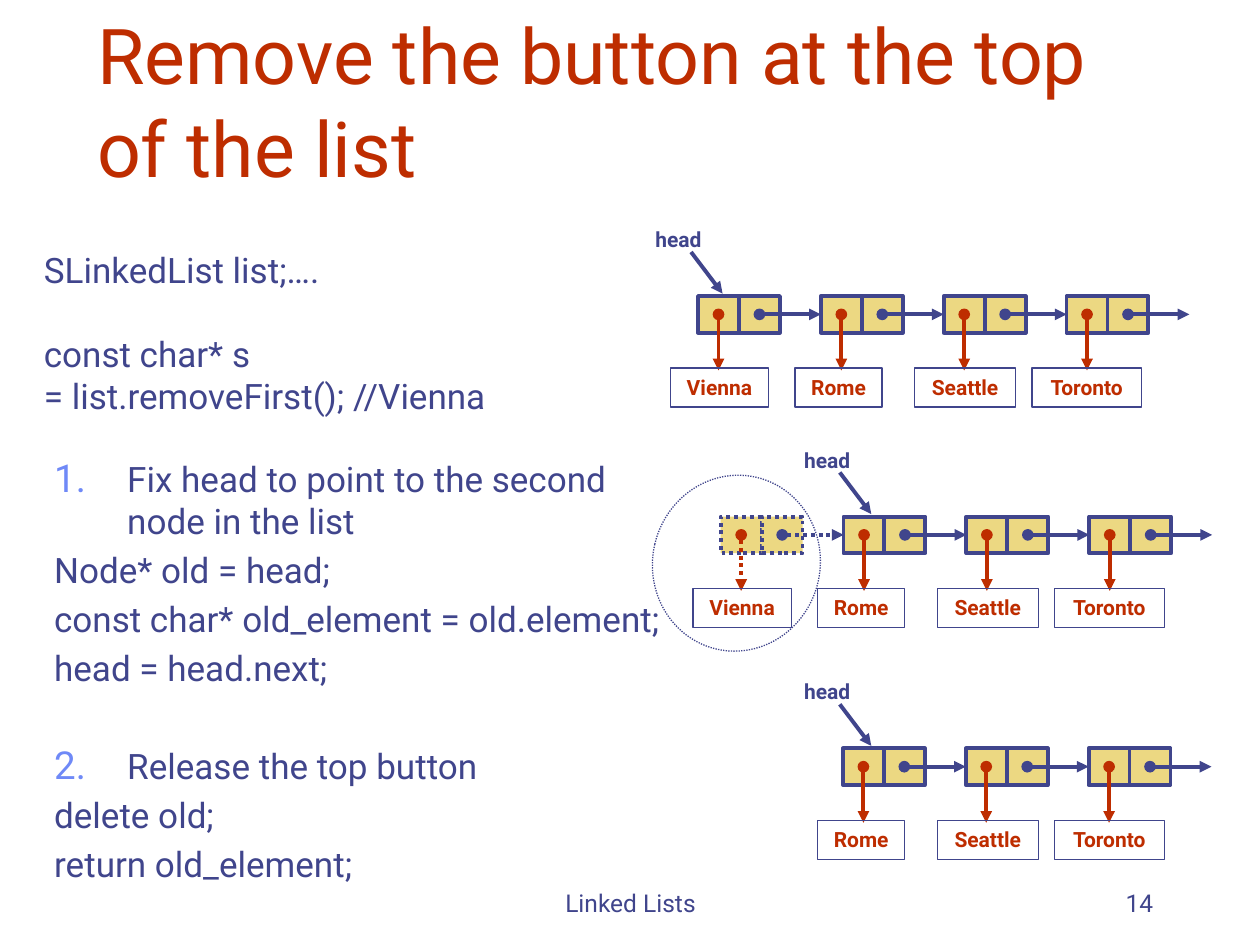
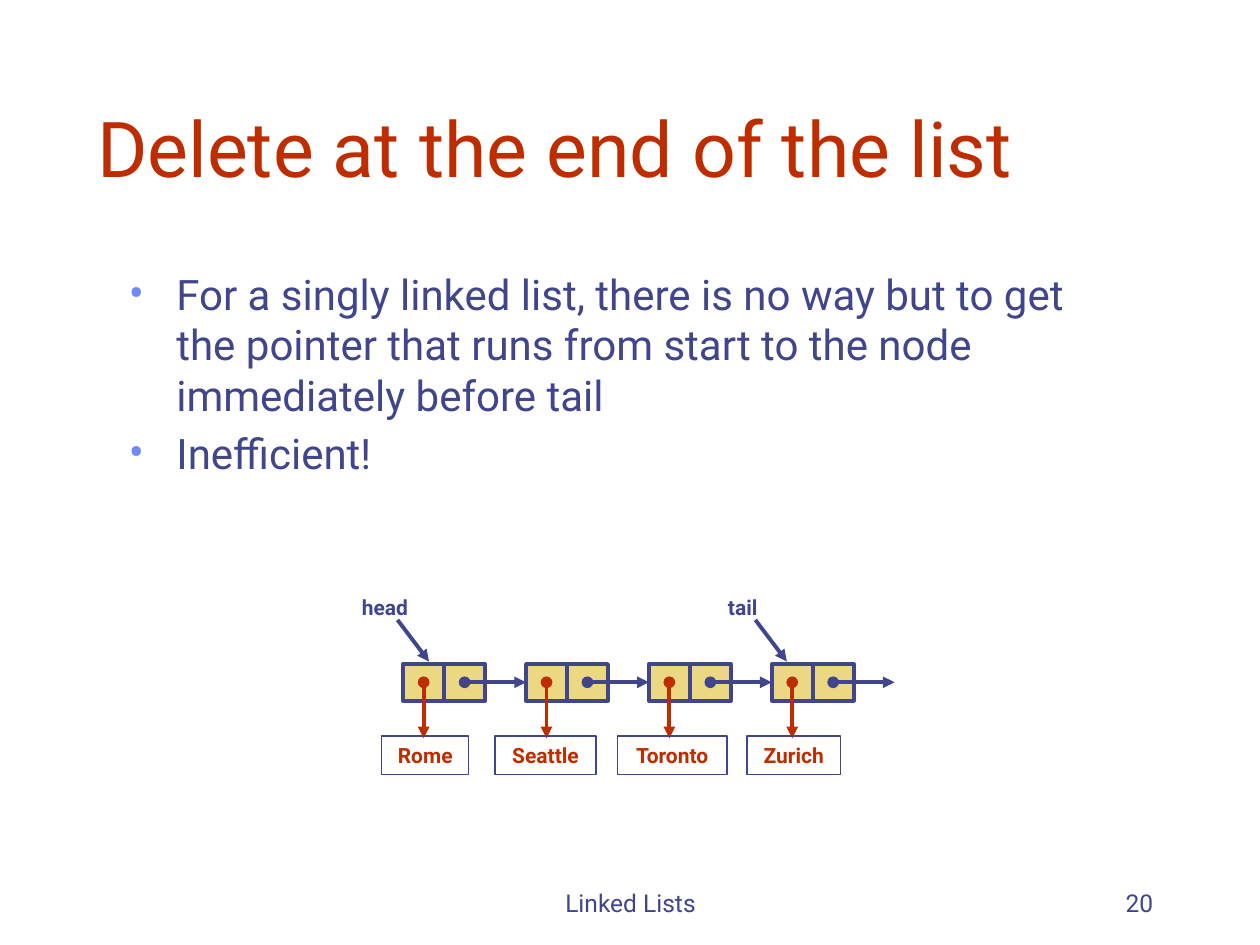
from pptx import Presentation
from pptx.dml.color import RGBColor
from pptx.enum.dml import MSO_LINE
from pptx.enum.shapes import MSO_CONNECTOR, MSO_SHAPE
from pptx.enum.text import MSO_ANCHOR, MSO_AUTO_SIZE, PP_ALIGN
from pptx.oxml.ns import qn
from pptx.util import Inches, Pt
from lxml import etree

FONT = "Roboto"
COLORS = {
    "text": "40458C",
    "accent": "BE2D00",
    "cell": "ECD882",
    "bullet": "6F89F7",
}

# A node takes two cells, and the gap to the next node is one cell wide.
PITCH = 3.9 / 4
CELL_WIDTH = PITCH / 3
CELL_HEIGHT = 0.29
ELEMENT_WIDTHS = {"Vienna": 0.78, "Rome": 0.69, "Seattle": 0.8,
                  "Toronto": 0.87, "Zurich": 0.74}
POINTER_WIDTHS = {"head": 0.61, "tail": 0.47}


def rgb(name):
    return RGBColor.from_string(COLORS[name])


def add_run(paragraph, text, size, color="text", bold=False):
    run = paragraph.add_run()
    run.text = text
    run.font.name = FONT
    run.font.size = Pt(size)
    run.font.bold = bold
    run.font.color.rgb = rgb(color)


def place(shape, left, top, width, height):
    shape.left, shape.top = Inches(left), Inches(top)
    shape.width, shape.height = Inches(width), Inches(height)


def style_line(line, color, width, dotted=False):
    line.color.rgb = rgb(color)
    line.width = Pt(width)
    if dotted:
        line.dash_style = MSO_LINE.ROUND_DOT


def add_text(shapes, box, lines, size, color="text", bold=False,
             align=PP_ALIGN.LEFT, anchor=MSO_ANCHOR.TOP, wrap=True):
    """Add a text box with one paragraph for each line."""
    textbox = shapes.add_textbox(*map(Inches, box))
    frame = textbox.text_frame
    frame.word_wrap = wrap
    frame.vertical_anchor = anchor
    for index, text in enumerate(lines):
        paragraph = frame.add_paragraph() if index else frame.paragraphs[0]
        paragraph.alignment = align
        add_run(paragraph, text, size, color, bold)
    return textbox


def add_label(shapes, text, left, top, width, height, color):
    label = add_text(shapes, (left, top, width, height), [text], 12, color,
                     bold=True, align=PP_ALIGN.CENTER, wrap=False)
    label.text_frame.auto_size = MSO_AUTO_SIZE.SHAPE_TO_FIT_TEXT
    return label


def add_arrow(shapes, start, end, color="text", dotted=False, from_dot=True):
    arrow = shapes.add_connector(MSO_CONNECTOR.STRAIGHT,
                                 *map(Inches, (*start, *end)))
    style_line(arrow.line, color, 2.25, dotted)
    line = arrow.get_or_add_ln()
    if from_dot:
        etree.SubElement(line, qn("a:headEnd"), type="oval")
    etree.SubElement(line, qn("a:tailEnd"), type="triangle")
    etree.SubElement(arrow._element.spPr, qn("a:effectLst"))
    return arrow


def add_cell(shapes, left, top, dotted):
    cell = shapes.add_shape(MSO_SHAPE.RECTANGLE, *map(
        Inches, (left, top, CELL_WIDTH, CELL_HEIGHT)))
    cell.shadow.inherit = False
    cell.fill.solid()
    cell.fill.fore_color.rgb = rgb("cell")
    style_line(cell.line, "text", 2.25, dotted)
    return cell


def add_pointer(shapes, name, left, node_top):
    """Add a named pointer with its slanted arrow down to a node."""
    width = POINTER_WIDTHS[name]
    add_label(shapes, name, left, node_top - 0.6, width, 0.3, "text")
    start = left + width / 2 + 0.1
    add_arrow(shapes, (start, node_top - 0.35),
              (start + 0.25, node_top - 0.02), from_dot=False)


def add_chain(slide, left, top, elements, pointers, removed=None):
    """Draw a linked list; elements maps each name to its box's left edge."""
    shapes = slide.shapes.add_group_shape().shapes
    middle = top + CELL_HEIGHT / 2
    node_lefts = [left + index * PITCH for index in range(len(elements))]
    element_cells = []
    for node_left, name in zip(node_lefts, elements):
        element_cells.append(add_cell(shapes, node_left, top, name == removed))
        add_cell(shapes, node_left + CELL_WIDTH, top, name == removed)
    next_cells = element_cells[1:] + [None]

    for node_left, next_cell, (name, box_left) in zip(
            node_lefts, next_cells, elements.items()):
        dotted = name == removed
        link = add_arrow(shapes, (node_left + 1.5 * CELL_WIDTH, middle),
                         (node_left + PITCH, middle), dotted=dotted)
        if next_cell is not None:
            link.end_connect(next_cell, 1)
        element_x = node_left + CELL_WIDTH / 2
        add_arrow(shapes, (element_x, middle), (element_x, top + 0.59),
                  "accent", dotted)
        box = add_label(shapes, name, box_left, top + 0.57,
                        ELEMENT_WIDTHS[name], 0.31, "accent")
        style_line(box.line, "text", 0.75)

    for name, pointer_left in pointers.items():
        add_pointer(shapes, name, pointer_left, top)


def add_removal_ring(slide):
    ring = slide.shapes.add_shape(MSO_SHAPE.OVAL, *map(
        Inches, (5.18, 3.77, 1.33, 1.4)))
    ring.rotation = 13
    ring.shadow.inherit = False
    ring.fill.background()
    style_line(ring.line, "text", 0.75, dotted=True)


def set_marker(paragraph, indent, marker):
    """Set a hanging indent with a number (int), a bullet (str) or None."""
    properties = paragraph._p.get_or_add_pPr()
    properties.set("marL", str(Inches(indent)))
    properties.set("indent", str(-Inches(indent)))
    if marker is None:
        etree.SubElement(properties, qn("a:buNone"))
        return
    color = etree.SubElement(properties, qn("a:buClr"))
    etree.SubElement(color, qn("a:srgbClr"), val=COLORS["bullet"])
    etree.SubElement(properties, qn("a:buSzPct"), val="110000")
    etree.SubElement(properties, qn("a:buFont"), typeface=FONT)
    if isinstance(marker, int):
        etree.SubElement(properties, qn("a:buAutoNum"),
                         type="arabicPeriod", startAt=str(marker))
    else:
        etree.SubElement(properties, qn("a:buChar"), char=marker)


def fill_body(slide, box, items, size, indent):
    """Fill the body with (marker, text) items; a number starts a new step."""
    body = slide.placeholders[1]
    place(body, *box)
    frame = body.text_frame
    frame.auto_size = MSO_AUTO_SIZE.NONE
    for index, (marker, text) in enumerate(items):
        paragraph = frame.add_paragraph() if index else frame.paragraphs[0]
        new_step = index and isinstance(marker, int)
        paragraph.space_before = Pt(size * (1.6 if new_step else 0.2))
        set_marker(paragraph, indent, marker)
        add_run(paragraph, text, size)


def add_slide(presentation, title_text, number):
    slide = presentation.slides.add_slide(presentation.slide_layouts[1])
    title = slide.shapes.title
    place(title, 0.67, 0.33, 8.5, 1.25)
    frame = title.text_frame
    frame.auto_size = MSO_AUTO_SIZE.NONE
    frame.vertical_anchor = MSO_ANCHOR.BOTTOM
    frame.paragraphs[0].alignment = PP_ALIGN.LEFT
    add_run(frame.paragraphs[0], title_text, 44, "accent")
    add_text(slide.shapes, (3.42, 6.83, 3.17, 0.5), ["Linked Lists"], 14,
             align=PP_ALIGN.CENTER, anchor=MSO_ANCHOR.BOTTOM)
    add_text(slide.shapes, (7.17, 6.83, 2.08, 0.5), [str(number)], 14,
             align=PP_ALIGN.RIGHT, anchor=MSO_ANCHOR.BOTTOM)
    return slide


def build_remove_first(presentation):
    slide = add_slide(presentation,
                      "Remove the button at the top of the list", 14)
    fill_body(slide, (0.33, 3.58, 5.17, 3.67), [
        (1, "Fix head to point to the second node in the list"),
        (None, "Node* old = head;"),
        (None, "const char* old_element = old.element;"),
        (None, "head = head.next;"),
        (2, "Release the top button"),
        (None, "delete old;"),
        (None, "return old_element;"),
    ], size=20, indent=0.58)
    code = add_text(slide.shapes, (0.25, 1.92, 4.42, 1.45), [
        "SLinkedList list;….",
        "const char* s",
        "= list.removeFirst(); //Vienna",
    ], 20)
    code.text_frame.paragraphs[1].space_before = Pt(24)

    remaining = {"Rome": 6.49, "Seattle": 7.44, "Toronto": 8.37}
    add_chain(slide, 5.54, 2.35, {"Vienna": 5.32, "Rome": 6.31,
                                  "Seattle": 7.26, "Toronto": 8.19},
              {"head": 5.08})
    add_chain(slide, 5.72, 4.1, {"Vienna": 5.5, **remaining},
              {"head": 6.26}, removed="Vienna")
    add_removal_ring(slide)
    add_chain(slide, 6.69, 5.94, remaining, {"head": 6.26})


def build_delete_last(presentation):
    slide = add_slide(presentation, "Delete at the end of the list", 20)
    fill_body(slide, (0.92, 2.08, 8.17, 4.5), [
        ("•", "For a singly linked list, there is no way but to get the "
              "pointer that runs from start to the node immediately "
              "before tail"),
        ("•", "Inefficient!"),
    ], size=24, indent=0.38)
    add_chain(slide, 3.2, 5.27, {"Rome": 3.03, "Seattle": 3.93,
                                 "Toronto": 4.9, "Zurich": 5.93},
              {"head": 2.75, "tail": 5.66})


def main():
    presentation = Presentation()
    presentation.slide_width = Inches(10)
    presentation.slide_height = Inches(7.5)
    build_remove_first(presentation)
    build_delete_last(presentation)
    presentation.save("out.pptx")


if __name__ == "__main__":
    main()
